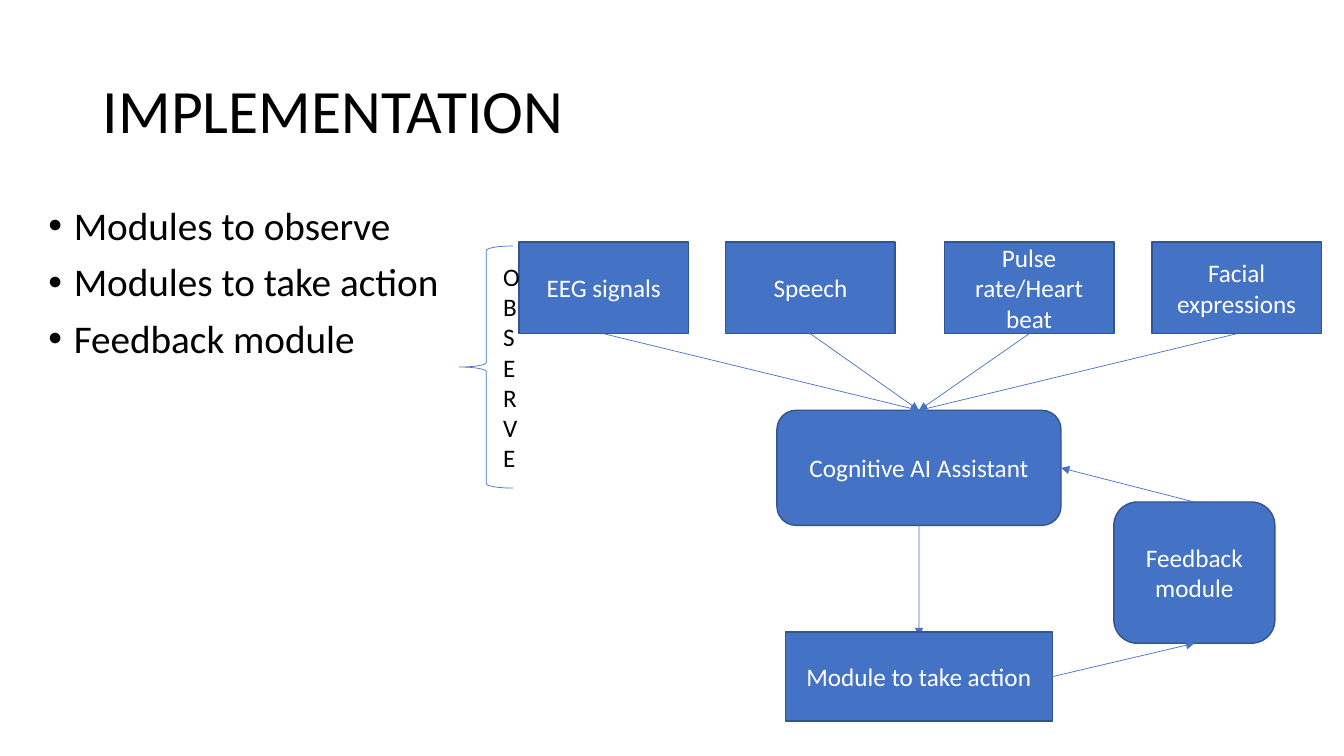
from dataclasses import dataclass

from lxml import etree
from pptx import Presentation
from pptx import util as u
from pptx.dml.color import RGBColor
from pptx.enum import shapes, text
from pptx.oxml import ns


@dataclass(frozen=True)
class Theme:
    font: str = "Calibri"
    ink: str = "000000"
    paper: str = "FFFFFF"
    accent: str = "4472C4"
    outline: str = "325491"
    title: float = 44
    bullets: float = 28
    label: float = 18
    outline_width: float = 1
    arrow_width: float = 0.5


@dataclass(frozen=True)
class Box:
    label: str
    left: float
    top: float
    width: float
    height: float
    preset: shapes.MSO_SHAPE = shapes.MSO_SHAPE.FLOWCHART_PROCESS


THEME = Theme()
ROUNDED = shapes.MSO_SHAPE.FLOWCHART_ALTERNATE_PROCESS
TOP, LEFT, BOTTOM, RIGHT = range(4)

BULLETS = ["Modules to observe", "Modules to take action", "Feedback module"]
ASSISTANT = Box("Cognitive AI Assistant", 19.58, 10.34, 7.16, 2.9, ROUNDED)
SIGNALS = [
    Box(label, left, 6.1, 4.27, 2.31)
    for label, left in [
        ("EEG signals", 13.08),
        ("Speech", 18.29),
        ("Pulse rate/Heart beat", 23.8),
        ("Facial expressions", 29.03),
    ]
]
ACTION = Box("Module to take action", 19.79, 15.93, 6.73, 2.24)
FEEDBACK = Box("Feedback module", 28.07, 12.65, 4.06, 3.56, ROUNDED)
OBSERVE = Box("OBSERVE", 11.58, 6.2, 1.35, 6.1, shapes.MSO_SHAPE.LEFT_BRACE)
ACTION_TIP = (23.16, 16.03)


def write(frame, lines: list[str], *, size: float, color: str,
          align=text.PP_ALIGN.LEFT, anchor=text.MSO_ANCHOR.MIDDLE,
          spacing: float = 1.0, before: float = 0, bullet: str = "") -> None:
    frame.word_wrap = True
    frame.auto_size = text.MSO_AUTO_SIZE.NONE
    frame.vertical_anchor = anchor
    for index, line in enumerate(lines):
        paragraph = frame.paragraphs[0] if index == 0 else frame.add_paragraph()
        paragraph.alignment = align
        paragraph.line_spacing = spacing
        paragraph.space_before = u.Pt(before)
        run = paragraph.add_run()
        run.text = line
        run.font.name = THEME.font
        run.font.size = u.Pt(size)
        run.font.color.rgb = RGBColor.from_string(color)
        if bullet:
            properties = paragraph._p.get_or_add_pPr()
            indent = u.Cm(0.64)
            properties.set("marL", str(indent))
            properties.set("indent", str(-indent))
            etree.SubElement(properties, ns.qn("a:buFont"), typeface="Arial")
            etree.SubElement(properties, ns.qn("a:buChar"), char=bullet)


def set_line(line, color: str, width: float) -> None:
    line.color.rgb = RGBColor.from_string(color)
    line.width = u.Pt(width)


def add_box(slide, box: Box):
    is_brace = box.preset == shapes.MSO_SHAPE.LEFT_BRACE
    node = slide.shapes.add_shape(
        box.preset, u.Cm(box.left), u.Cm(box.top), u.Cm(box.width), u.Cm(box.height))
    node.shadow.inherit = False
    if is_brace:
        node.fill.background()
        set_line(node.line, THEME.accent, THEME.arrow_width)
    else:
        node.fill.solid()
        node.fill.fore_color.rgb = RGBColor.from_string(THEME.accent)
        set_line(node.line, THEME.outline, THEME.outline_width)
    write(node.text_frame, [box.label], size=THEME.label,
          color=THEME.ink if is_brace else THEME.paper, align=text.PP_ALIGN.CENTER)
    return node


def add_arrow(slide, source, source_side: int, target=None, target_side: int = TOP,
              tip: tuple[float, float] = (0, 0)) -> None:
    end_x, end_y = (u.Cm(value) for value in tip)
    arrow = slide.shapes.add_connector(
        shapes.MSO_CONNECTOR.STRAIGHT, source.left, source.top, end_x, end_y)
    arrow.begin_connect(source, source_side)
    if target is not None:
        arrow.end_connect(target, target_side)
    set_line(arrow.line, THEME.accent, THEME.arrow_width)
    properties = arrow._element.spPr
    etree.SubElement(properties.find(ns.qn("a:ln")), ns.qn("a:tailEnd"), type="triangle")
    etree.SubElement(properties, ns.qn("a:effectLst"))


def add_heading(slide) -> None:
    heading = slide.shapes.title
    heading.left, heading.top = u.Cm(2.34), u.Cm(1.02)
    heading.width, heading.height = u.Cm(29.21), u.Cm(3.68)
    write(heading.text_frame, ["IMPLEMENTATION"], size=THEME.title,
          color=THEME.ink, spacing=0.9)


def add_bullets(slide) -> None:
    modules = slide.shapes.add_textbox(u.Cm(0.97), u.Cm(5.08), u.Cm(26.67), u.Cm(12.07))
    write(modules.text_frame, BULLETS, size=THEME.bullets, color=THEME.ink,
          anchor=text.MSO_ANCHOR.TOP, spacing=0.9, before=10, bullet="•")


def add_flow(slide) -> None:
    assistant = add_box(slide, ASSISTANT)
    signals = [add_box(slide, signal) for signal in SIGNALS]
    for signal in signals:
        add_arrow(slide, signal, BOTTOM, assistant, TOP)
    add_arrow(slide, assistant, BOTTOM, tip=ACTION_TIP)
    action = add_box(slide, ACTION)
    feedback = add_box(slide, FEEDBACK)
    add_arrow(slide, action, RIGHT, feedback, BOTTOM)
    add_arrow(slide, feedback, TOP, assistant, RIGHT)
    add_box(slide, OBSERVE)


def main() -> None:
    deck = Presentation()
    deck.slide_width, deck.slide_height = u.Cm(33.87), u.Cm(19.05)
    slide = deck.slides.add_slide(deck.slide_layouts.get_by_name("Title Only"))
    add_heading(slide)
    add_bullets(slide)
    add_flow(slide)
    deck.save("out.pptx")


if __name__ == "__main__":
    main()
